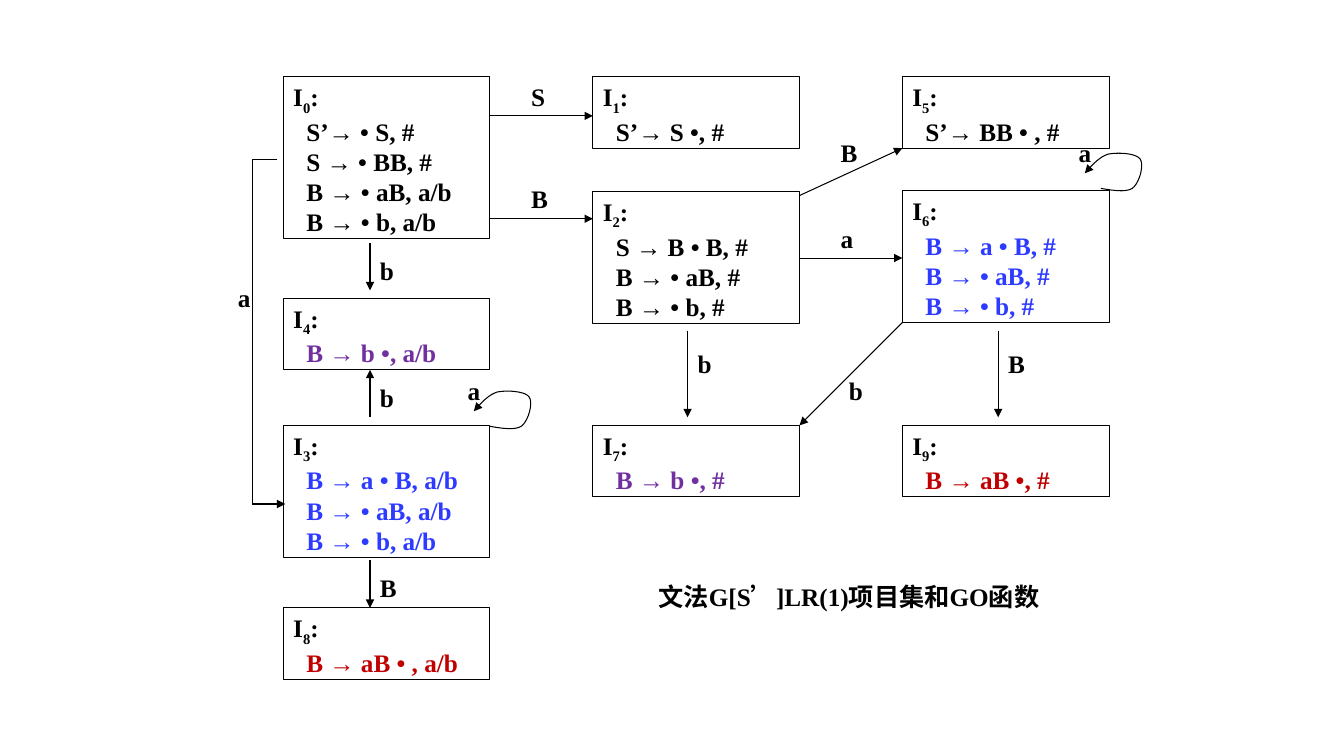
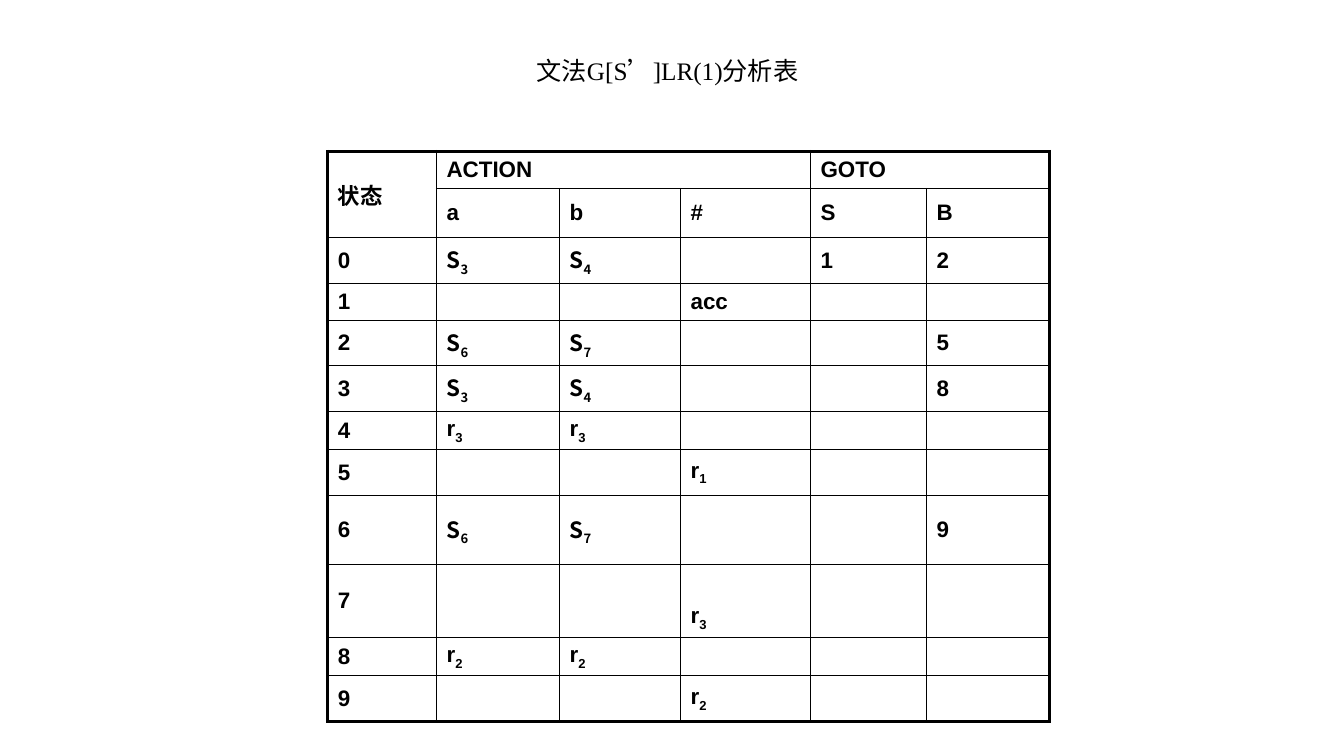
from dataclasses import dataclass
from itertools import pairwise

from lxml.etree import SubElement
from pptx import Presentation
from pptx.dml.color import RGBColor
from pptx.enum.shapes import MSO_CONNECTOR as Connector, MSO_SHAPE as Shape
from pptx.enum.text import MSO_ANCHOR as Anchor, MSO_AUTO_SIZE as AutoSize, PP_ALIGN as Align
from pptx.oxml.ns import qn
from pptx.oxml.xmlchemy import OxmlElement
from pptx.util import Emu, Pt

PX = 9144  # EMU in one px, 100 px to the inch
BLACK, BLUE, PURPLE, RED = "000000", "2D3AFF", "7030A0", "C00000"
SERIF, SANS, CJK = "Times New Roman", "Arial", "Noto Sans CJK SC"


def px(*lengths):
    return [Emu(round(length * PX)) for length in lengths]


def color(code):
    return RGBColor.from_string(code)


def bezier(start, c1, c2, end, steps=10):
    """Points along a cubic curve, without its start."""
    for step in range(1, steps + 1):
        t = step / steps
        u = 1 - t
        yield tuple(u**3 * a + 3 * u * u * t * b + 3 * u * t * t * c + t**3 * d
                    for a, b, c, d in zip(start, c1, c2, end))


@dataclass
class Board:
    """Holds the style and the current slide."""
    deck: object
    page: object = None
    size: int = 18
    line_width: float = 0.75
    state_width: int = 205

    def new_page(self):
        self.page = self.deck.slides.add_slide(self.deck.slide_layouts[5])

    # Text
    def style(self, para, size, face=SERIF, bold=True, code=BLACK):
        font = para.font
        font.size, font.name, font.bold = Pt(size), face, bold
        font.color.rgb = color(code)
        defaults = para._p.pPr.find(qn("a:defRPr"))
        SubElement(defaults, qn("a:ea")).set("typeface", CJK)

    def subscripted(self, para, letter, index, ending=""):
        para.add_run().text = letter
        span = para.add_run()
        span.text = index
        span._r.get_or_add_rPr().set("baseline", "-25000")
        if ending:
            para.add_run().text = ending

    def title(self, text, x, y, width, align, bold):
        box = self.page.shapes.title
        box.left, box.top, box.width, box.height = px(x, y, width, 40)
        frame = box.text_frame
        frame.text = text
        frame.auto_size, frame.vertical_anchor = AutoSize.NONE, Anchor.TOP
        frame.paragraphs[0].alignment = align
        self.style(frame.paragraphs[0], self.size, bold=bold)

    def label(self, text, x, y):
        frame = self.page.shapes.add_textbox(*px(x, y, 39, 40)).text_frame
        frame.word_wrap = True
        frame.text = text
        self.style(frame.paragraphs[0], self.size)

    # Graph
    def outline(self, line):
        line.color.rgb = color(BLACK)
        line.width = Pt(self.line_width)

    def arrowhead(self, shape):
        tip = SubElement(shape.line._get_or_add_ln(), qn("a:tailEnd"))
        tip.set("type", "triangle")

    def state(self, number, x, y, items, code=BLACK):
        height = 41 + 30 * len(items)
        box = self.page.shapes.add_shape(
            Shape.RECTANGLE, *px(x, y, self.state_width, height))
        box.shadow.inherit = False
        box.fill.background()
        self.outline(box.line)
        frame = box.text_frame
        frame.vertical_anchor = Anchor.TOP
        head = frame.paragraphs[0]
        self.subscripted(head, "I", str(number), ":")
        head.alignment = Align.LEFT
        self.style(head, self.size)
        for item in items:
            para = frame.add_paragraph()
            para.text = item
            para.alignment = Align.LEFT
            para._p.get_or_add_pPr().set("marL", str(px(13)[0]))
            self.style(para, self.size, code=code)

    def edge(self, text, label_at, *points):
        for start, end in pairwise(points):
            line = self.page.shapes.add_connector(
                Connector.STRAIGHT, *px(*start, *end))
            self.outline(line.line)
            if end == points[-1]:
                self.arrowhead(line)
            SubElement(line._element.spPr, qn("a:effectLst"))
        self.label(text, *label_at)

    def loop(self, text, x, y):
        start = (32, 56)
        curves = [((44, 58), (56, 60), (63, 56)), ((70, 51), (75, 33), (71, 27)),
                  ((67, 21), (49, 20), (39, 22)), ((30, 25), (23, 33), (16, 41))]
        points = [start]
        for curve in curves:
            points.extend(bezier(points[-1], *curve))
        points = [px(x + dx, y + dy) for dx, dy in points]
        builder = self.page.shapes.build_freeform(*points[0], scale=1.0)
        builder.add_line_segments(points[1:], close=False)
        shape = builder.convert_to_shape()
        shape.shadow.inherit = False
        shape.fill.background()
        self.outline(shape.line)
        self.arrowhead(shape)
        self.label(text, x, y)

    # Table
    def borders(self, cell, widths):
        props = cell._tc.get_or_add_tcPr()
        for place, (side, width) in enumerate(widths.items()):
            line = OxmlElement(f"a:ln{side}")
            line.set("w", str(Pt(width)))
            fill = SubElement(line, qn("a:solidFill"))
            SubElement(fill, qn("a:srgbClr")).set("val", BLACK)
            props.insert(place, line)

    def fill_cell(self, cell, text):
        para = cell.text_frame.paragraphs[0]
        indexed = len(text) == 2 and text[0] in "Sr"
        if indexed:
            self.subscripted(para, *text)
        elif text:
            para.text = text
        self.style(para, 16, CJK if indexed and text[0] == "S" else SANS)
        cell.vertical_anchor = Anchor.MIDDLE
        cell.fill.background()

    def table(self, x, y, columns, heights, rows, merges):
        table = self.page.shapes.add_table(
            len(rows), len(columns), *px(x, y, sum(columns), sum(heights))).table
        table.first_row = table.horz_banding = False
        for column, width in zip(table.columns, columns):
            column.width = px(width)[0]
        for row, height in zip(table.rows, heights):
            row.height = px(height)[0]
        for first, last in merges:
            table.cell(*first).merge(table.cell(*last))
        for r, texts in enumerate(rows):
            for c, text in enumerate(texts):
                cell = table.cell(r, c)
                self.fill_cell(cell, text)
                right = c + (cell.span_width if cell.is_merge_origin else 1)
                outer = {"L": c == 0, "R": right == len(columns),
                         "T": r == 0, "B": r == len(rows) - 1}
                self.borders(cell, {side: 2.25 if edge else 1
                                    for side, edge in outer.items()})
        return table


def draw_graph(board):
    board.new_page()
    left, middle, right = (281 + 307 * i for i in range(3))

    # States
    states = [
        (left, 76, ["S’→ • S, #", "S → • BB, #", "B → • aB, a/b", "B → • b, a/b"], BLACK),
        (middle, 76, ["S’→ S •, #"], BLACK),
        (middle, 190, ["S → B • B, #", "B → • aB, #", "B → • b, #"], BLACK),
        (left, 422, ["B → a • B, a/b", "B → • aB, a/b", "B → • b, a/b"], BLUE),
        (left, 296, ["B → b •, a/b"], PURPLE),
        (right, 76, ["S’→ BB • , #"], BLACK),
        (right, 189, ["B → a • B, #", "B → • aB, #", "B → • b, #"], BLUE),
        (middle, 422, ["B → b •, #"], PURPLE),
        (left, 603, ["B → aB • , a/b"], RED),
        (right, 422, ["B → aB •, #"], RED),
    ]
    for number, state in enumerate(states):
        board.state(number, *state)

    # Transitions: symbol, label position, points
    left_end, middle_end = left + board.state_width, middle + board.state_width
    edges = [
        ("b", (367, 248), (367, 241), (367, 288)),
        ("b", (367, 374), (367, 414), (367, 367)),
        ("B", (367, 563), (367, 556), (367, 603)),
        ("a", (226, 275), (275, 158), (250, 158), (250, 500), (283, 500)),
        ("S", (517, 76), (left_end, 115), (middle, 115)),
        ("B", (517, 177), (left_end, 217), (middle, 217)),
        ("a", (824, 217), (middle_end, 256), (right, 256)),
        ("b", (682, 341), (682, 328), (682, 414)),
        ("B", (990, 341), (990, 328), (990, 414)),
        ("B", (824, 131), (middle_end, 194), (right, 147)),
        ("b", (832, 367), (right, 320), (middle_end, 422)),
    ]
    for edge in edges:
        board.edge(*edge)
    board.loop("a", 454, 367)
    board.loop("a", 1060, 131)
    board.title("文法G[S’]LR(1)项目集和GO函数", 643, 572, 488, Align.LEFT, True)


def draw_table(board):
    board.new_page()
    board.title("文法G[S’]LR(1)分析表", 400, 50, 524, Align.CENTER, False)
    rows = [
        ("状态", "ACTION", "", "", "GOTO", ""),
        ("", "a", "b", "#", "S", "B"),
        ("0", "S3", "S4", "", "1", "2"),
        ("1", "", "", "acc", "", ""),
        ("2", "S6", "S7", "", "", "5"),
        ("3", "S3", "S4", "", "", "8"),
        ("4", "r3", "r3", "", "", ""),
        ("5", "", "", "r1", "", ""),
        ("6", "S6", "S7", "", "", "9"),
        ("7", "", "", "r3", "", ""),
        ("8", "r2", "r2", "", "", ""),
        ("9", "", "", "r2", "", ""),
    ]
    table = board.table(
        325, 150, [108, 122, 120, 129, 115, 122],
        [37, 49, 45, 37, 45, 45, 38, 45, 69, 72, 38, 45], rows,
        [((0, 0), (1, 0)), ((0, 1), (0, 3)), ((0, 4), (0, 5))])
    table.cell(9, 3).vertical_anchor = Anchor.BOTTOM


def main():
    deck = Presentation()
    deck.slide_width, deck.slide_height = px(1333, 750)
    board = Board(deck)
    draw_graph(board)
    draw_table(board)
    deck.save("out.pptx")


if __name__ == "__main__":
    main()
